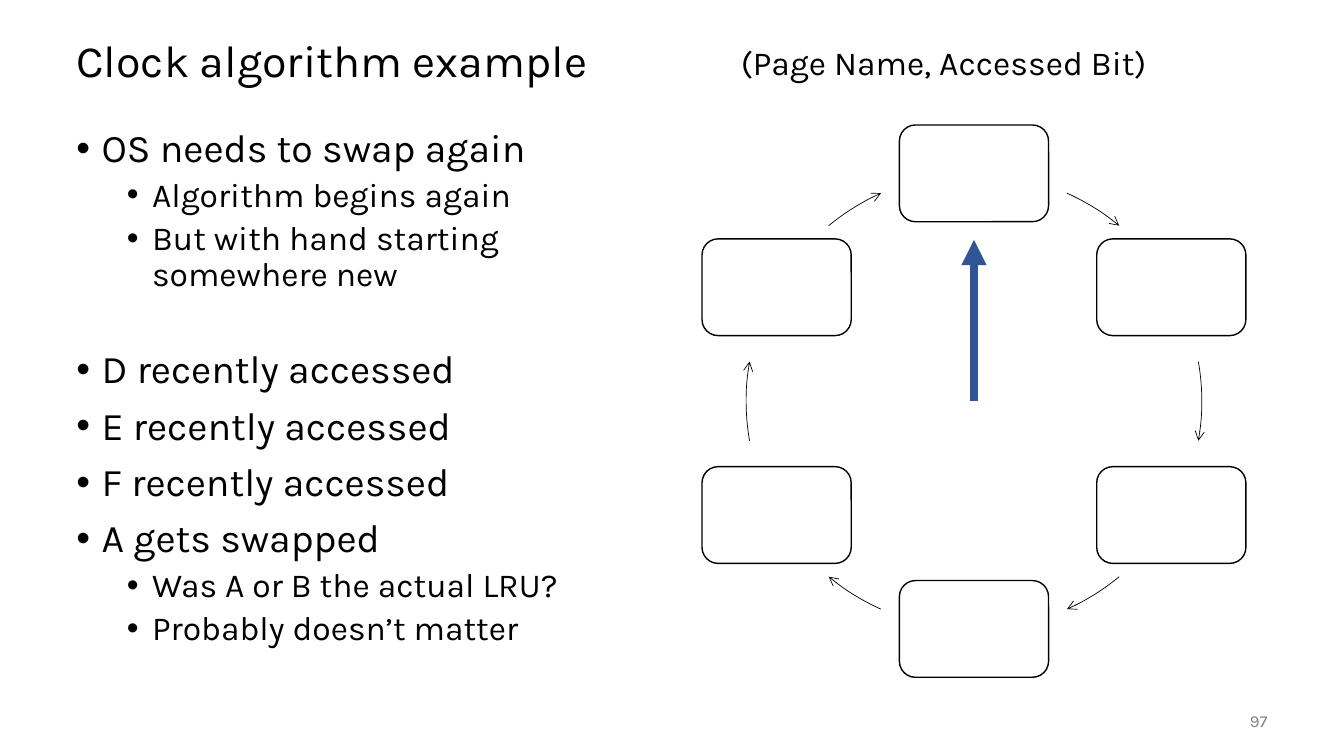
"""Build the clock algorithm slide: bullet list beside a ring of page frames."""
import math

from lxml import etree
from pptx import Presentation
from pptx import util as u
from pptx.dml.color import RGBColor
from pptx.enum import shapes, text
from pptx.oxml import ns

BLACK = RGBColor(0x00, 0x00, 0x00)
WHITE = RGBColor(0xFF, 0xFF, 0xFF)
GRAY = RGBColor(0x80, 0x80, 0x80)
BLUE = RGBColor(0x2F, 0x55, 0x97)
FONT = "Karla"

LEFT, MIDDLE = text.PP_ALIGN.LEFT, text.MSO_ANCHOR.MIDDLE
RIGHT, TOP = text.PP_ALIGN.RIGHT, text.MSO_ANCHOR.TOP

LABELS = [
    ("Clock algorithm example", (0.66, 0.25, 12, 0.75), 32, BLACK, LEFT, MIDDLE),
    ("(Page Name, Accessed Bit)", (7.25, 0.37, 4.42, 0.5), 24, BLACK, LEFT, TOP),
    ("97", (11.67, 6.95, 1, 0.4), 12, GRAY, RIGHT, MIDDLE),
]

BODY_AREA = (0.66, 1.23, 5.75, 5.5)
BULLETS = [
    (0, "OS needs to swap again", 0),
    (1, "Algorithm begins again", 5),
    (1, "But with hand starting somewhere new", 5),
    (0, "D recently accessed", 40),
    (0, "E recently accessed", 10),
    (0, "F recently accessed", 10),
    (0, "A gets swapped", 10),
    (1, "Was A or B the actual LRU?", 5),
    (1, "Probably doesn’t matter", 5),
]
LEVELS = [{"size": 28, "margin": 0.25}, {"size": 24, "margin": 0.75}]

CENTER_X, CENTER_Y, RADIUS = 9.66, 3.98, 2.26
PAGE_W, PAGE_H = 1.48, 0.96
PAGE_ANGLES = range(-90, 270, 60)
ARC_SPANS = [(294.1, 309.6), (350, 10), (50.4, 65.9),
             (114.1, 129.6), (170, 190), (230.4, 245.9)]
HAND_TIP_Y = 2.38


def inches(values):
    return [u.Inches(value) for value in values]


def apply(target, values):
    for name, value in values.items():
        setattr(target, name, value)


def write(paragraph, words, size, color):
    run = paragraph.add_run()
    run.text = words
    apply(run.font, {"name": FONT, "size": u.Pt(size)})
    run.font.color.rgb = color


def style_line(line, color, width):
    line.color.rgb = color
    line.width = u.Pt(width)


def add_arrowhead(line, kind):
    etree.SubElement(line._get_or_add_ln(), ns.qn("a:tailEnd"), type=kind)


def add_label(slide, words, area, size, color, align, anchor):
    frame = slide.shapes.add_textbox(*inches(area)).text_frame
    apply(frame, {"word_wrap": True, "vertical_anchor": anchor})
    apply(frame.paragraphs[0], {"alignment": align, "line_spacing": 0.9 if size == 32 else 1.0})
    write(frame.paragraphs[0], words, size, color)


def add_bullets(slide):
    frame = slide.shapes.add_textbox(*inches(BODY_AREA)).text_frame
    frame.word_wrap = True
    for index, (level, words, before) in enumerate(BULLETS):
        bullet = frame.add_paragraph() if index else frame.paragraphs[0]
        properties = bullet._p.get_or_add_pPr()
        properties.set("marL", str(u.Inches(LEVELS[level]["margin"])))
        properties.set("indent", str(u.Inches(-0.25)))
        etree.SubElement(properties, ns.qn("a:buFont"), typeface="Arial")
        etree.SubElement(properties, ns.qn("a:buChar"), char="•")
        apply(bullet, {"level": level, "line_spacing": 0.9, "space_before": u.Pt(before)})
        write(bullet, words, LEVELS[level]["size"], BLACK)


def add_ring(slide):
    ring_area = (CENTER_X - RADIUS, CENTER_Y - RADIUS, 2 * RADIUS, 2 * RADIUS)
    for angle, span in zip(PAGE_ANGLES, ARC_SPANS):
        left = CENTER_X + RADIUS * math.cos(math.radians(angle)) - PAGE_W / 2
        top = CENTER_Y + RADIUS * math.sin(math.radians(angle)) - PAGE_H / 2
        page = slide.shapes.add_shape(
            shapes.MSO_SHAPE.ROUNDED_RECTANGLE, *inches((left, top, PAGE_W, PAGE_H)))
        page.shadow.inherit = False
        page.fill.solid()
        page.fill.fore_color.rgb = WHITE
        style_line(page.line, BLACK, 1)

        arc = slide.shapes.add_shape(shapes.MSO_SHAPE.ARC, *inches(ring_area))
        arc.shadow.inherit = False
        arc.fill.background()
        for side, degrees in enumerate(span):
            arc.adjustments[side] = degrees * 0.6
        style_line(arc.line, BLACK, 0.5)
        add_arrowhead(arc.line, "arrow")


def add_hand(slide):
    hand = slide.shapes.add_connector(
        shapes.MSO_CONNECTOR.STRAIGHT, *inches((CENTER_X, CENTER_Y, CENTER_X, HAND_TIP_Y)))
    style_line(hand.line, BLUE, 6)
    add_arrowhead(hand.line, "triangle")
    etree.SubElement(hand._element.spPr, ns.qn("a:effectLst"))


def main():
    deck = Presentation()
    apply(deck, {"slide_width": u.Inches(13.33), "slide_height": u.Inches(7.5)})
    slide = deck.slides.add_slide(deck.slide_layouts[6])
    for label in LABELS:
        add_label(slide, *label)
    add_bullets(slide)
    add_ring(slide)
    add_hand(slide)
    deck.save("out.pptx")


if __name__ == "__main__":
    main()
